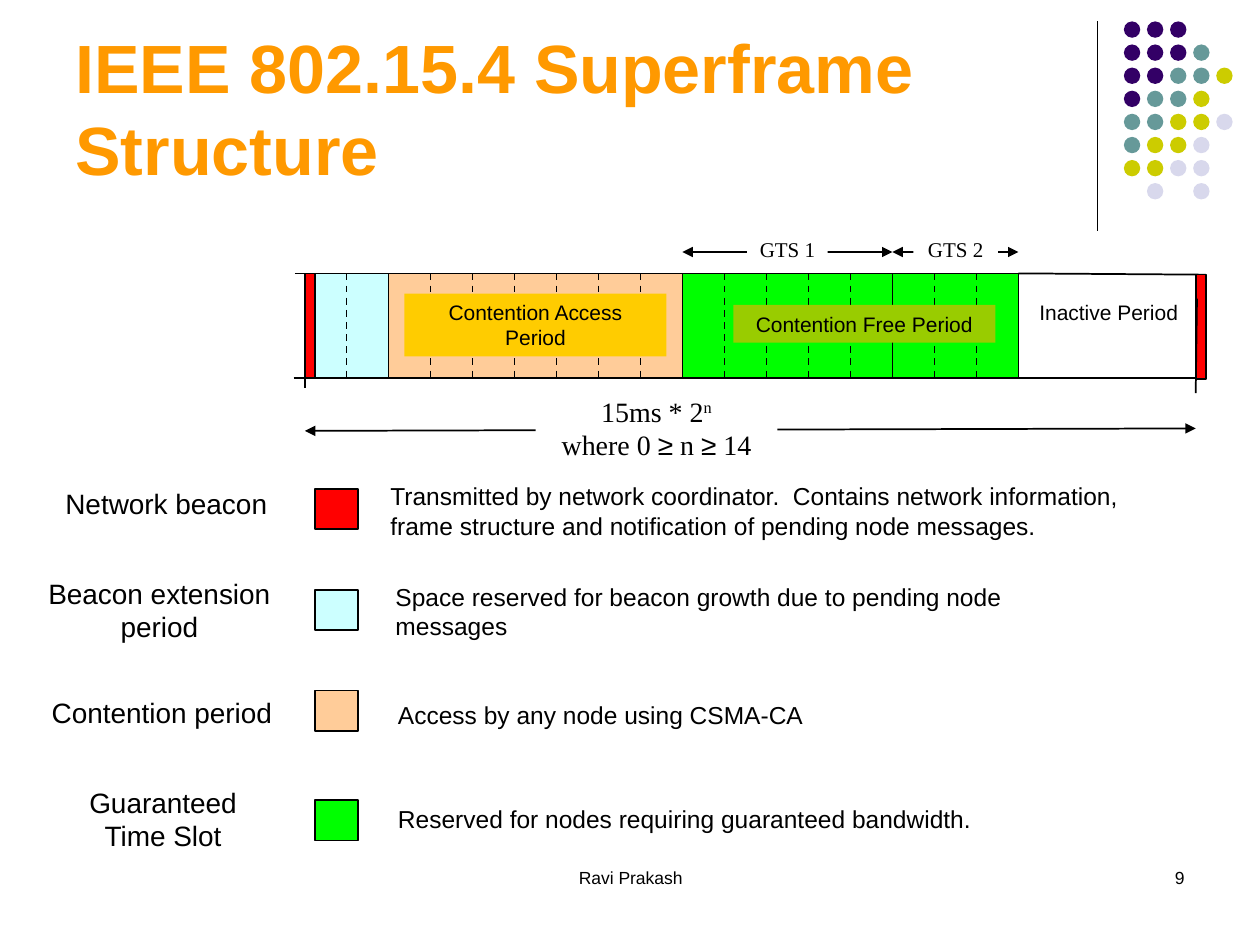
from dataclasses import dataclass

from lxml.etree import SubElement as Sub
from pptx import Presentation
from pptx.dml.color import RGBColor as Rgb
from pptx.enum.dml import MSO_LINE as Dash
from pptx.enum.shapes import MSO_CONNECTOR as Conn, MSO_SHAPE as Kind
from pptx.enum.text import MSO_ANCHOR as Anchor, PP_ALIGN as Align
from pptx.oxml.ns import qn
from pptx.util import Inches, Pt

HUE = {
    "black": "000000", "white": "FFFFFF", "title": "FF9900",
    "red": "FF0000", "cyan": "CCFFFF", "peach": "FFCC99", "green": "00FF00",
    "gold": "FFCC00", "olive": "99CC00",
    "P": "330066", "T": "669999", "Y": "CCCC00", "L": "D8D8EC",
}
SANS, SERIF = "Arial", "Times New Roman"
DOTS = ["PPP", "PPPT", "PPTTY", "PTTY", "TTYYL", "TYYL", "YYLL", " L L"]
DOT, STEP = 0.13, 0.55 / 3
TOP, TALL, SLOT = 2.17, 0.83, 1 / 3
LEFT = 2.42
EXT, CAP, GTS1, GTS2, IDLE = (2.75 + SLOT * n for n in (-1, 1, 8, 13, 16))


@dataclass
class Run:
    text: str
    font: str = SANS
    high: bool = False


@dataclass
class Label:
    x: float
    y: float
    w: float
    h: float
    lines: list[list[Run]]
    size: float
    align: Align = Align.CENTER
    anchor: Anchor = Anchor.TOP
    fill: str = ""
    color: str = "black"
    bold: bool = False
    wrap: bool = True


@dataclass
class Row:
    """One legend entry: name, color swatch and meaning."""
    fill: str
    y: float
    name: list[str]
    at: tuple[float, float, float, float]
    text: list[str]
    spot: tuple[float, float, float, float]


ROWS = [
    Row("red", 3.88, ["Network beacon"], (0.33, 3.81, 1.98, 0.37),
        ["Transmitted by network coordinator.  Contains network information,",
         "frame structure and notification of pending node messages."],
        (3, 3.77, 6, 0.57)),
    Row("cyan", 4.68, ["Beacon extension", "period"], (0.25, 4.52, 2.03, 0.64),
        ["Space reserved for beacon growth due to pending node messages"],
        (3.04, 4.68, 5.95, 0.34)),
    Row("peach", 5.48, ["Contention period"], (0.25, 5.47, 2.07, 0.37),
        ["Access by any node using CSMA-CA"], (3.06, 5.5, 3.42, 0.34)),
    Row("green", 6.35, ["Guaranteed", "Time Slot"], (0.33, 6.18, 1.93, 0.64),
        ["Reserved for nodes requiring guaranteed bandwidth."],
        (3.06, 6.33, 4.75, 0.34)),
]


def plain(*lines: str, font: str = SANS) -> list[list[Run]]:
    """Turn each string into a line of one run."""
    return [[Run(line, font)] for line in lines]


def shade(name: str) -> Rgb:
    return Rgb.from_string(HUE[name])


def block(slide, x: float, y: float, w: float, h: float, fill: str,
          kind: Kind = Kind.RECTANGLE, edge: bool = True):
    shape = slide.shapes.add_shape(
        kind, Inches(x), Inches(y), Inches(w), Inches(h))
    shape.shadow.inherit = False
    shape.fill.solid()
    shape.fill.fore_color.rgb = shade(fill)
    if edge:
        shape.line.color.rgb = shade("black")
        shape.line.width = Pt(1)
    else:
        shape.line.fill.background()
    return shape


def rule(slide, x: float, y: float, to_x: float, to_y: float,
         width: float = 1, dash: bool = False, heads: bool = False) -> None:
    line = slide.shapes.add_connector(
        Conn.STRAIGHT, Inches(x), Inches(y), Inches(to_x), Inches(to_y))
    line.line.color.rgb = shade("black")
    line.line.width = Pt(width)
    if dash:
        line.line.dash_style = Dash.DASH
    if heads:
        pen = line.line._get_or_add_ln()
        for end in ("a:headEnd", "a:tailEnd"):
            Sub(pen, qn(end), type="triangle")
    Sub(line._element.spPr, qn("a:effectLst"))


def write(slide, tag: Label) -> None:
    if tag.fill:
        box = block(slide, tag.x, tag.y, tag.w, tag.h, tag.fill, edge=False)
    else:
        box = slide.shapes.add_textbox(
            Inches(tag.x), Inches(tag.y), Inches(tag.w), Inches(tag.h))
    frame = box.text_frame
    frame.word_wrap = tag.wrap
    frame.vertical_anchor = tag.anchor
    for i, line in enumerate(tag.lines):
        para = frame.add_paragraph() if i else frame.paragraphs[0]
        para.alignment = tag.align
        for part in line:
            run = para.add_run()
            run.text = part.text
            run.font.name = part.font
            run.font.size = Pt(tag.size)
            run.font.bold = tag.bold
            run.font.color.rgb = shade(tag.color)
            if part.high:
                run._r.get_or_add_rPr().set("baseline", "30000")


def decor(slide) -> None:
    rule(slide, 8.71, 0.17, 8.71, 1.83, 0.75)
    for r, row in enumerate(DOTS):
        for c, key in enumerate(row):
            if key != " ":
                block(slide, 8.92 + c * STEP, 0.17 + r * STEP, DOT, DOT, key,
                      Kind.OVAL, False)


def frame(slide) -> None:
    """Draw the superframe bar with its slots, edges and labels."""
    end = TOP + TALL
    for x, stop, fill in ((CAP, GTS1, "peach"), (EXT, CAP, "cyan"),
                          (GTS1, GTS2, "green"), (GTS2, IDLE, "green")):
        block(slide, x, TOP, stop - x, TALL, fill)
    for n in range(17):
        x = 2.75 + n * SLOT
        rule(slide, x, TOP, x, end, dash=True)
    rule(slide, 2.33, end, 9.57, end)
    rule(slide, 2.34, TOP, 2.5, TOP)
    rule(slide, IDLE, TOP, 9.57, 2.18)
    rule(slide, LEFT, 2.33, LEFT, 3.08)
    block(slide, LEFT, TOP, 0.08, TALL, "red")
    block(slide, 9.49, 2.18, 0.08, TALL, "red")
    rule(slide, 9.5, 2.37, 9.49, 3.12)

    rule(slide, LEFT, 3.42, 9.49, 3.4, heads=True)
    rule(slide, GTS1, 2, GTS2, 2, heads=True)
    rule(slide, GTS2, 2, IDLE, 2, heads=True)
    span = [[Run("15ms * 2", SERIF), Run("n", SERIF, True)],
            [Run("where 0 ", SERIF), Run("≥"), Run(" n ", SERIF), Run("≥"),
             Run(" 14", SERIF)]]
    for tag in (
        Label(4.25, 3.08, 1.92, 0.64, span, 16, fill="white"),
        Label(5.93, 1.83, 0.64, 0.3, plain("GTS 1", font=SERIF), 12,
              anchor=Anchor.MIDDLE, fill="white", wrap=False),
        Label(7.25, 1.83, 0.67, 0.3, plain("GTS 2", font=SERIF), 12,
              anchor=Anchor.MIDDLE, fill="white"),
        Label(3.21, 2.33, 2.08, 0.5, plain("Contention Access Period"), 12,
              fill="gold"),
        Label(5.82, 2.42, 2.08, 0.3, plain("Contention Free Period"), 12,
              fill="olive"),
        Label(8.15, 2.33, 1.3, 0.5, plain("Inactive Period"), 12),
    ):
        write(slide, tag)


def legend(slide) -> None:
    for row in ROWS:
        block(slide, 2.5, row.y, 0.34, 0.32, row.fill)
        write(slide, Label(*row.at, plain(*row.name), 16,
                           anchor=Anchor.MIDDLE))
        write(slide, Label(*row.spot, plain(*row.text), 14, Align.LEFT,
                           Anchor.MIDDLE, wrap=False))


def main() -> None:
    deck = Presentation()
    deck.slide_width, deck.slide_height = Inches(10), Inches(7.5)
    slide = deck.slides.add_slide(deck.slide_layouts[6])
    decor(slide)
    write(slide, Label(0.5, 0.13, 8.25, 1.42,
                       plain("IEEE 802.15.4 Superframe Structure"), 39,
                       Align.LEFT, Anchor.BOTTOM, color="title", bold=True))
    frame(slide)
    legend(slide)
    write(slide, Label(3.42, 6.83, 3.17, 0.5, plain("Ravi Prakash"), 10))
    write(slide, Label(7.17, 6.83, 2.33, 0.5, plain("9"), 10, Align.RIGHT))
    deck.save("out.pptx")


if __name__ == "__main__":
    main()
